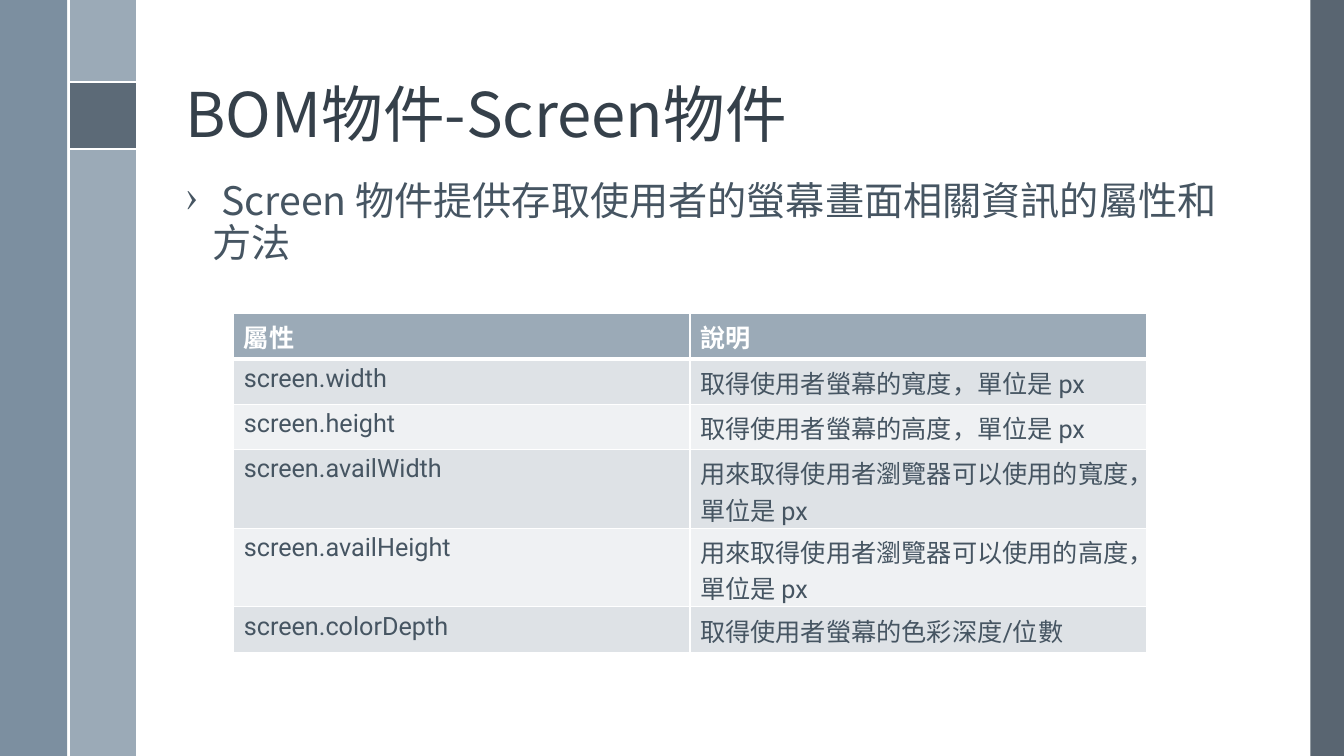
from dataclasses import dataclass

from lxml import etree
from pptx import Presentation
from pptx.dml.color import RGBColor
from pptx.enum.shapes import MSO_CONNECTOR, MSO_SHAPE
from pptx.enum.text import MSO_ANCHOR
from pptx.oxml.ns import qn
from pptx.util import Pt

RECT = MSO_SHAPE.RECTANGLE
STRAIGHT = MSO_CONNECTOR.STRAIGHT
TOP, BOTTOM = MSO_ANCHOR.TOP, MSO_ANCHOR.BOTTOM


@dataclass(frozen=True)
class Theme:
    white: str = "FFFFFF"
    title: str = "35404A"
    text: str = "465562"
    dark: str = "475562"
    steel: str = "6A8093"
    mist: str = "9BAAB7"
    bands: tuple = ("DEE2E6", "EFF1F3")
    cjk_font: str = "Noto Sans CJK TC"
    latin_font: str = "Roboto"
    title_size: int = 44
    body_size: int = 28
    table_size: int = 18


def add_element(parent, tag, **attributes):
    return etree.SubElement(parent, qn(tag), attributes)


class SlideBuilder:
    def __init__(self, slide, theme):
        self.shapes = slide.shapes
        self.theme = theme

    def paint(self, fill, color, opacity=100):
        fill.solid()
        fill.fore_color.rgb = RGBColor.from_string(color)
        if opacity < 100:
            clr = fill._xPr.find(qn("a:solidFill"))[0]
            add_element(clr, "a:alpha", val=str(opacity * 1000))

    def rect(self, left, top, width, height, color, opacity=100):
        sp = self.shapes.add_shape(RECT, Pt(left), Pt(top), Pt(width), Pt(height))
        sp.shadow.inherit = False
        sp.line.fill.background()
        self.paint(sp.fill, color, opacity)

    def line(self, x1, y1, x2, y2, width=1.5):
        cxn = self.shapes.add_connector(STRAIGHT, Pt(x1), Pt(y1), Pt(x2), Pt(y2))
        cxn.line.width = Pt(width)
        cxn.line.color.rgb = RGBColor.from_string(self.theme.white)
        add_element(cxn._element.spPr, "a:effectLst")

    def run(self, p, text, color, **font):
        r = p.add_run()
        r.text = text
        r.font.color.rgb = RGBColor.from_string(color)
        for name, value in font.items():
            setattr(r.font, name, value)
        add_element(r._r.get_or_add_rPr(), "a:ea", typeface=self.theme.cjk_font)

    def text(self, left, top, width, height, text, color, size, anchor=TOP, bullet=None, indent=0):
        box = self.shapes.add_textbox(Pt(left), Pt(top), Pt(width), Pt(height))
        tf = box.text_frame
        for name, value in {"word_wrap": True, "vertical_anchor": anchor}.items():
            setattr(tf, name, value)
        p = tf.paragraphs[0]
        if bullet:
            pPr = p._p.get_or_add_pPr()
            pPr.set("marL", str(Pt(indent)))
            pPr.set("indent", str(-Pt(indent)))
            add_element(pPr, "a:buChar", char=bullet)
        p.line_spacing = 0.9
        self.run(p, text, color, size=Pt(size), name=self.theme.cjk_font)

    def borders(self, cell, widths):
        tcPr = cell._tc.get_or_add_tcPr()
        for i, (side, width) in enumerate(widths.items()):
            ln = add_element(tcPr, f"a:ln{side}", w=str(Pt(width)))
            fill = add_element(ln, "a:solidFill")
            add_element(fill, "a:srgbClr", val=self.theme.white)
            tcPr.insert(i, ln)

    def table(self, left, top, col_width, heights, rows):
        theme = self.theme
        cols = len(rows[0])
        frame = self.shapes.add_table(
            len(rows), cols, Pt(left), Pt(top), Pt(col_width * cols), Pt(sum(heights))
        )
        table = frame.table
        for col in table.columns:
            col.width = Pt(col_width)
        for i, (height, row) in enumerate(zip(heights, rows)):
            header = i == 0
            table.rows[i].height = Pt(height)
            color = theme.white if header else theme.text
            band = theme.mist if header else theme.bands[(i - 1) % 2]
            widths = {"L": 1, "R": 1, "T": 3 if i == 1 else 1, "B": 3 if header else 1}
            for j, value in enumerate(row):
                cell = table.cell(i, j)
                self.paint(cell.fill, band)
                self.borders(cell, widths)
                self.run(
                    cell.text_frame.paragraphs[0], value, color,
                    size=Pt(theme.table_size), bold=header, name=theme.latin_font,
                )


def main():
    prs = Presentation()
    prs.slide_width, prs.slide_height = Pt(960), Pt(540)
    theme = Theme()
    s = SlideBuilder(prs.slides.add_slide(prs.slide_layouts[6]), theme)

    bar, rail, square_top = 48, 49, 58.3
    s.rect(936, 0, 24, 540, theme.dark, 90)
    s.rect(rail, 0, bar, 540, theme.mist)
    s.rect(0, 0, bar, 540, theme.steel, 88)
    s.rect(rail, square_top, bar, bar, theme.dark, 75)
    for y in (square_top, square_top + bar):
        s.line(rail, y, rail + bar, y)
    s.line(rail, 0, rail, 540)

    s.text(125.3, 13.7, 770.4, 97.9, "BOM物件-Screen物件",
           theme.title, theme.title_size, anchor=BOTTOM)
    s.text(125.3, 126, 770.4, 360, " Screen 物件提供存取使用者的螢幕畫面相關資訊的屬性和方法",
           theme.text, theme.body_size, bullet="›", indent=19.44)

    short, tall = 32.4, 56.2
    s.table(167, 223.9, 325.9, [short, short, short, tall, tall, short], [
        ("屬性", "說明"),
        ("screen.width", "取得使用者螢幕的寬度，單位是 px"),
        ("screen.height", "取得使用者螢幕的高度，單位是 px"),
        ("screen.availWidth", "用來取得使用者瀏覽器可以使用的寬度，單位是 px"),
        ("screen.availHeight", "用來取得使用者瀏覽器可以使用的高度，單位是 px"),
        ("screen.colorDepth", "取得使用者螢幕的色彩深度/位數"),
    ])
    prs.save("out.pptx")


if __name__ == "__main__":
    main()
